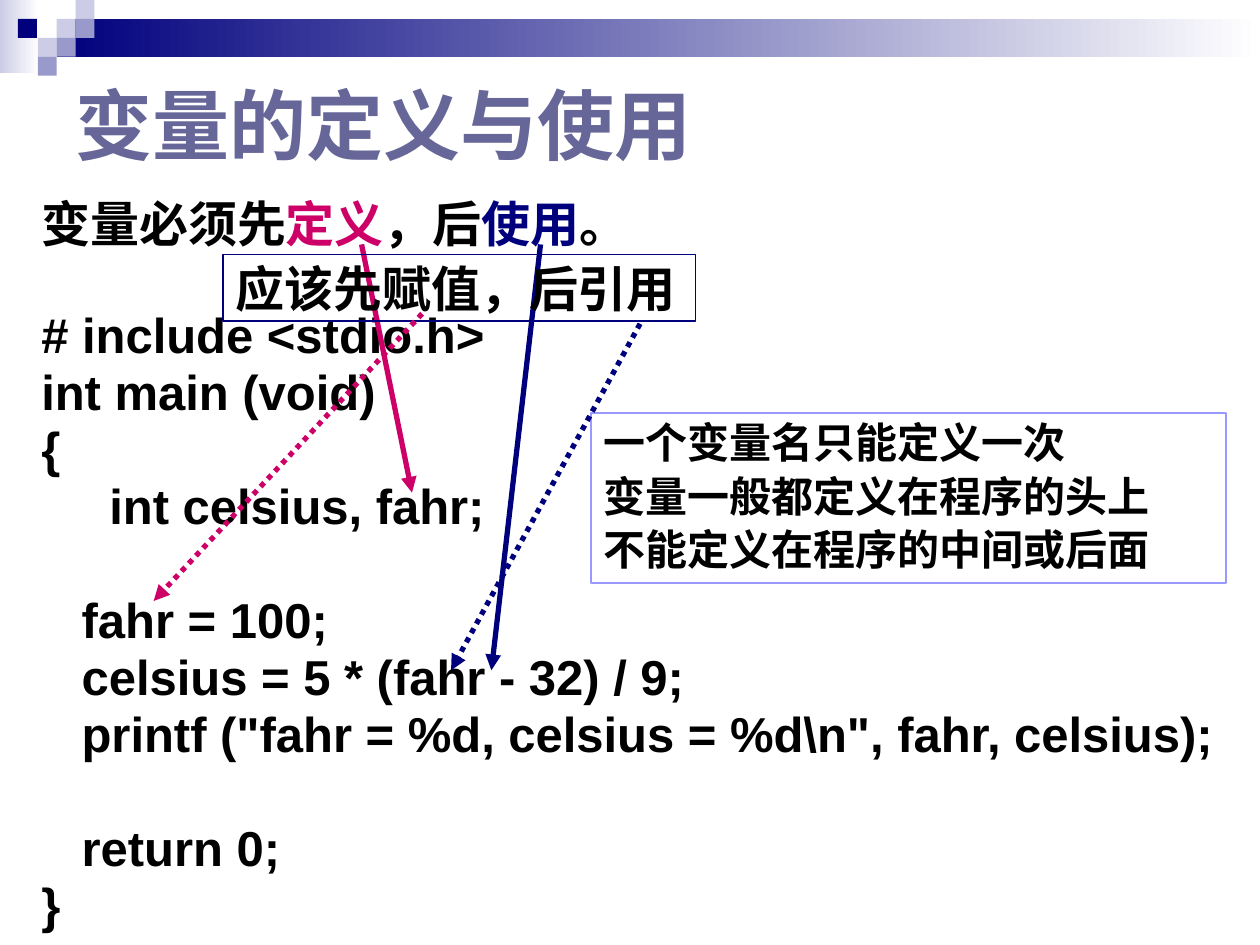
from dataclasses import dataclass

from lxml import etree
from pptx import Presentation
from pptx.dml.color import RGBColor
from pptx.enum import dml, shapes, text
from pptx.oxml.ns import qn
from pptx.util import Inches, Pt


@dataclass(frozen=True)
class Theme:
    navy: str = "00007D"
    pink: str = "CC0066"
    pale: str = "CCCCE6"
    mid: str = "9999CC"
    white: str = "FFFFFF"
    black: str = "000000"
    title: str = "666699"
    note_line: str = "9999FF"
    latin: str = "Arial"
    cjk: str = "Noto Sans CJK SC"
    title_size: float = 44
    body_size: float = 28
    note_size: float = 24
    body_pitch: float = 32.6
    callout_pitch: float = 36
    note_pitch: float = 30.6


T = Theme()


def rgb(value):
    return RGBColor.from_string(value)


def add_text(s, box, paragraphs, size=T.body_size, color=T.black, font=T.latin,
             pitch=None, anchor=text.MSO_ANCHOR.TOP, border=None):
    sp = s.shapes.add_textbox(*map(Inches, box))
    if border:
        sp.line.color.rgb = rgb(border)
        sp.line.width = Pt(1)
    tf = sp.text_frame
    tf.word_wrap = True
    tf.vertical_anchor = anchor
    tf.margin_top = tf.margin_bottom = 0
    for i, (runs, indent, gap) in enumerate(paragraphs):
        p = tf.paragraphs[0] if i == 0 else tf.add_paragraph()
        p.space_before = Pt(gap)
        if pitch:
            p.line_spacing = Pt(pitch)
        if indent:
            p._p.get_or_add_pPr().set("marL", str(Inches(indent)))
        for words, run_color in runs:
            r = p.add_run()
            r.text = words
            r.font.size = Pt(size)
            r.font.bold = True
            r.font.color.rgb = rgb(run_color or color)
            r.font.name = font
            ea = etree.SubElement(r._r.get_or_add_rPr(), qn("a:ea"))
            ea.set("typeface", T.cjk)
    return sp


def plain(words, indent=0, gap=0):
    return [(words, None)], indent, gap


def add_block(s, box, color, fade=None):
    sp = s.shapes.add_shape(shapes.MSO_SHAPE.RECTANGLE, *map(Inches, box))
    sp.shadow.inherit = False
    sp.line.fill.background()
    if fade:
        sp.fill.gradient()
        sp.fill.gradient_angle = 0
        for stop, value in zip(sp.fill.gradient_stops, (color, fade)):
            stop.color.rgb = rgb(value)
    else:
        sp.fill.solid()
        sp.fill.fore_color.rgb = rgb(color)


def add_arrow(s, start, end, color, dotted=False):
    line = s.shapes.add_connector(shapes.MSO_CONNECTOR.STRAIGHT,
                                  *map(Inches, (*start, *end)))
    line.line.color.rgb = rgb(color)
    line.line.width = Pt(3)
    if dotted:
        line.line.dash_style = dml.MSO_LINE.ROUND_DOT
    ln = line.line._get_or_add_ln()
    etree.SubElement(ln, qn("a:tailEnd")).set("type", "triangle")
    etree.SubElement(line._element.spPr, qn("a:effectLst"))


def add_banner(s, box):
    x, y, w, h = box
    cell = h / 4
    add_block(s, (x, y, 0.31, 0.58), T.pale, T.white)
    add_block(s, (x + 3 * cell, y + cell, w - 3 * cell, 2 * cell), T.navy, T.white)
    tiles = [(3, 1, T.pale), (4, 0, T.pale), (4, 1, T.mid), (2, 2, T.pale),
             (0.95, 1, T.navy), (3, 2, T.mid), (2, 3, T.mid)]
    for col, row, color in tiles:
        add_block(s, (x + col * cell, y + row * cell, cell, cell), color)


def add_title(s, box):
    add_text(s, box, [plain("变量的定义与使用")], size=T.title_size,
             color=T.title, anchor=text.MSO_ANCHOR.MIDDLE)


def add_code(s, box):
    rule = [("变量必须先", None), ("定义", T.pink), ("，后", None),
            ("使用", T.navy), ("。", None)]
    step, deep, gap = 0.32, 0.54, T.body_pitch
    add_text(s, box, [
        (rule, 0, 0),
        plain("# include <stdio.h>", gap=30.6),
        plain("int main (void)"),
        plain("{"),
        plain("int celsius, fahr;", deep),
        plain("fahr = 100;", step, gap),
        plain("celsius = 5 * (fahr - 32) / 9;", step),
        plain('printf ("fahr = %d, celsius = %d\\n", fahr, celsius);', step),
        plain("return 0;", step, gap),
        plain("}"),
    ], pitch=T.body_pitch)


def add_note(s, box):
    lines = ["一个变量名只能定义一次", "变量一般都定义在程序的头上",
             "不能定义在程序的中间或后面"]
    add_text(s, box, [plain(words) for words in lines], size=T.note_size,
             font=T.cjk, pitch=T.note_pitch, border=T.note_line)


def add_callout(s, box):
    add_text(s, box, [plain("应该先赋值，后引用")], font=T.cjk,
             pitch=T.callout_pitch, border=T.navy)


def main():
    prs = Presentation()
    prs.slide_width, prs.slide_height = Inches(10), Inches(7.5)
    s = prs.slides.add_slide(prs.slide_layouts[6])
    add_banner(s, (0, 0, 10, 0.6))
    add_title(s, (0.5, 0.5, 6, 0.97))
    add_code(s, (0.23, 1.55, 9.73, 5.95))
    add_note(s, (4.69, 3.28, 5.04, 1.35))
    add_arrow(s, (2.87, 1.94), (3.27, 3.91), T.pink)
    add_arrow(s, (4.29, 1.94), (3.9, 5.32), T.navy)
    add_callout(s, (1.77, 2.02, 3.75, 0.53))
    add_arrow(s, (3.35, 2.49), (1.22, 4.77), T.pink, dotted=True)
    add_arrow(s, (5.08, 2.57), (3.58, 5.32), T.navy, dotted=True)
    prs.save("out.pptx")


if __name__ == "__main__":
    main()
